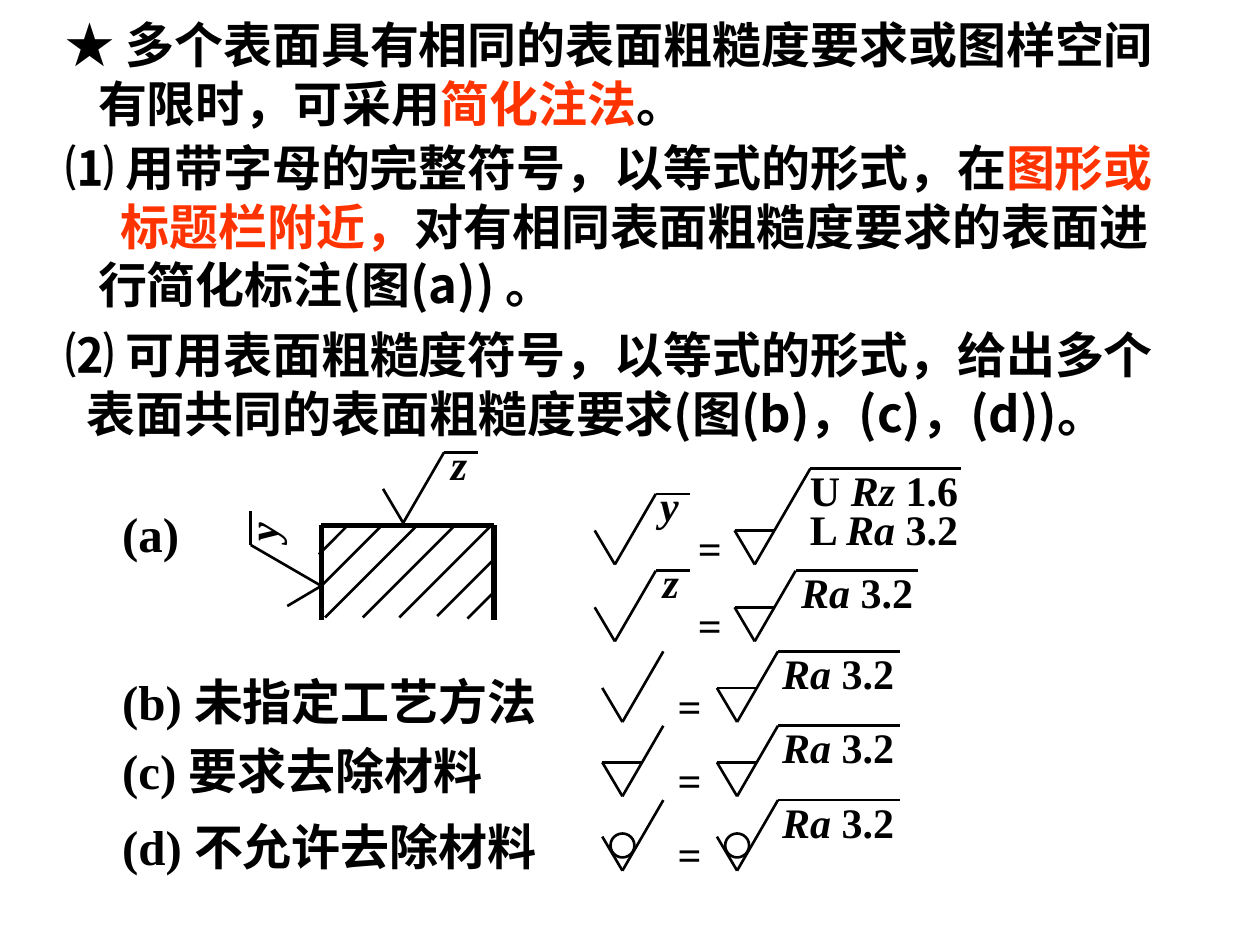
import pptx
import pptx.dml.color
import pptx.enum.shapes
import pptx.enum.text
import pptx.oxml.ns
import pptx.util
from lxml import etree

Inches = pptx.util.Inches
Pt = pptx.util.Pt
BLACK = pptx.dml.color.RGBColor(0x00, 0x00, 0x00)
RED = pptx.dml.color.RGBColor(0xFF, 0x33, 0x00)
SERIF = "Times New Roman"
CJK = "Noto Sans CJK SC"


class RoughnessSlide:
    """Holds the text and line style and draws on one slide."""

    def __init__(self, slide):
        self.slide = slide

    def style_font(self, font, size, name):
        font.size, font.name, font.bold = Pt(size), name, True
        font.color.rgb = BLACK

    def text(self, left, top, width, height, lines, size=24, name=SERIF,
             indents=(0,), wrap=False, pitch=None, rotation=0):
        """Each line is a list of runs: (text, italic, colour)."""
        box = self.slide.shapes.add_textbox(
            Inches(left), Inches(top), Inches(width), Inches(height))
        box.rotation = rotation
        frame = box.text_frame
        frame.word_wrap = wrap
        for index, (runs, indent) in enumerate(zip(lines, indents)):
            paragraph = frame.paragraphs[0] if index == 0 else frame.add_paragraph()
            paragraph._p.get_or_add_pPr().set("marL", str(Inches(indent)))
            if pitch:
                paragraph.line_spacing = Pt(pitch)
            self.style_font(paragraph.font, size, name)
            for content, italic, color in runs:
                run = paragraph.add_run()
                run.text = content
                self.style_font(run.font, size, name)
                run.font.italic = italic
                run.font.color.rgb = color
                east_asian = etree.SubElement(
                    run._r.get_or_add_rPr(), pptx.oxml.ns.qn("a:ea"))
                east_asian.set("typeface", CJK)

    def heading(self, top, width, lines, indents, name=CJK, left=0.42):
        self.text(left, top, width, 0.1 + 0.47 * len(lines), lines, 28, name,
                  indents, wrap=True, pitch=33.6)

    def line(self, x1, y1, x2, y2, weight=1.5):
        connector = self.slide.shapes.add_connector(
            pptx.enum.shapes.MSO_CONNECTOR.STRAIGHT,
            Inches(x1), Inches(y1), Inches(x2), Inches(y2))
        connector.line.color.rgb = BLACK
        connector.line.width = Pt(weight)
        etree.SubElement(connector._element.spPr, pptx.oxml.ns.qn("a:effectLst"))

    def circle(self, x, y, size=0.19):
        shape = self.slide.shapes.add_shape(
            pptx.enum.shapes.MSO_SHAPE.OVAL, Inches(x - size / 2),
            Inches(y - size / 2), Inches(size), Inches(size))
        shape.shadow.inherit = False
        shape.fill.background()
        shape.line.color.rgb = BLACK
        shape.line.width = Pt(1.5)

    def symbol(self, x, y, kind="basic", bar=0, height=0.56, turned=False):
        """Roughness sign with its tip at (x, y); turned lies to the left."""
        reach = height * 0.58
        strokes = [(-0.16, -0.27, 0, 0), (0, 0, reach, -height)]
        if bar:
            strokes.append((reach, -height, reach + bar, -height))
        if kind == "triangle":
            strokes.append((-0.16, -0.27, 0.16, -0.27))
        for x1, y1, x2, y2 in strokes:
            if turned:
                x1, y1, x2, y2 = y1, -x1, y2, -x2
            self.line(x + x1, y + y1, x + x2, y + y2)
        if kind == "circle":
            self.circle(x, y - 0.2)


def plain(content, color=BLACK):
    return content, False, color


def slanted(content):
    return content, True, BLACK


def main():
    presentation = pptx.Presentation()
    presentation.slide_width, presentation.slide_height = Inches(10), Inches(7.5)
    page = RoughnessSlide(presentation.slides.add_slide(presentation.slide_layouts[6]))

    # Rules
    page.heading(0.07, 9.15, [
        [plain("★ 多个表面具有相同的表面粗糙度要求或图样空间")],
        [plain("有限时，可采用"), plain("简化注法", RED), plain("。")],
    ], (0, 0.26))
    page.heading(1.04, 9.14, [
        [plain("⑴ 用带字母的完整符号，以等式的形式，在"), plain("图形或", RED)],
        [plain("标题栏附近，", RED), plain("对有相同表面粗糙度要求的表面进")],
        [plain("行简化标注(图(a)) 。")],
    ], (0, 0.44, 0.26))
    page.heading(2.53, 9.29, [
        [plain("⑵ 可用表面粗糙度符号，以等式的形式，给出多个")],
        [plain("表面共同的表面粗糙度要求(图(b)，(c)，(d))。")],
    ], (0, 0.17))

    # Case labels
    for top, label in [(3.92, "(a)"), (5.25, "(b) 未指定工艺方法"),
                       (5.8, "(c) 要求去除材料"), (6.4, "(d) 不允许去除材料")]:
        page.heading(top + 0.03, 4.31, [[plain(label)]], (0,), SERIF, left=0.87)

    # Hatched part
    left, right, top, bottom = 2.55, 3.92, 4.17, 4.92
    page.line(left, top, left, bottom, 3)
    page.line(left, top, right, top, 3)
    page.line(right, top, right, bottom, 3)
    for x, y, run in [(2.53, 4.4, 0.24), (2.53, 4.67, 0.51), (2.58, 4.9, 0.74),
                      (2.88, 4.9, 0.74), (3.17, 4.9, 0.74), (3.47, 4.89, 0.46),
                      (3.71, 4.91, 0.2)]:
        page.line(x, y, x + run, y - run)

    # Signs on the part
    page.symbol(2.55, 4.65, bar=0.27, turned=True)
    page.text(1.9, 3.97, 0.35, 0.5, [[slanted("y")]], rotation=270)
    page.symbol(3.2, 4.15, bar=0.27)
    page.text(3.48, 3.43, 0.33, 0.5, [[slanted("z")]])

    # Equations of case (a)
    ra_value = [slanted("Ra"), plain(" 3.2")]
    for tip, letter, letter_left, bar, height in [(4.48, "y", 5.14, 1.2, 0.76),
                                                  (5.09, "z", 5.16, 0.97, 0.56)]:
        page.symbol(4.88, tip, bar=0.27)
        page.text(letter_left, tip - 0.72, 0.35, 0.5, [[slanted(letter)]])
        page.text(5.44, tip - 0.38, 0.39, 0.5, [[plain("=")]])
        page.symbol(5.99, tip, "triangle", bar, height)
    page.text(6.33, 3.64, 1.38, 0.5, [[plain("U "), slanted("Rz"), plain(" 1.6")]])
    page.text(6.33, 3.95, 1.4, 0.5, [[plain("L "), *ra_value]])
    page.text(6.26, 4.45, 1.09, 0.5, [ra_value])

    # Equations of cases (b), (c) and (d)
    for tip, kind, full_kind in [(5.73, "basic", "triangle"),
                                 (6.32, "triangle", "triangle"),
                                 (6.91, "circle", "circle")]:
        page.symbol(4.94, tip, kind)
        page.text(5.28, tip - 0.38, 0.39, 0.5, [[plain("=")]])
        page.symbol(5.85, tip, full_kind, bar=0.97)
        page.text(6.11, tip - 0.64, 1.09, 0.5, [ra_value])

    presentation.save("out.pptx")


if __name__ == "__main__":
    main()
